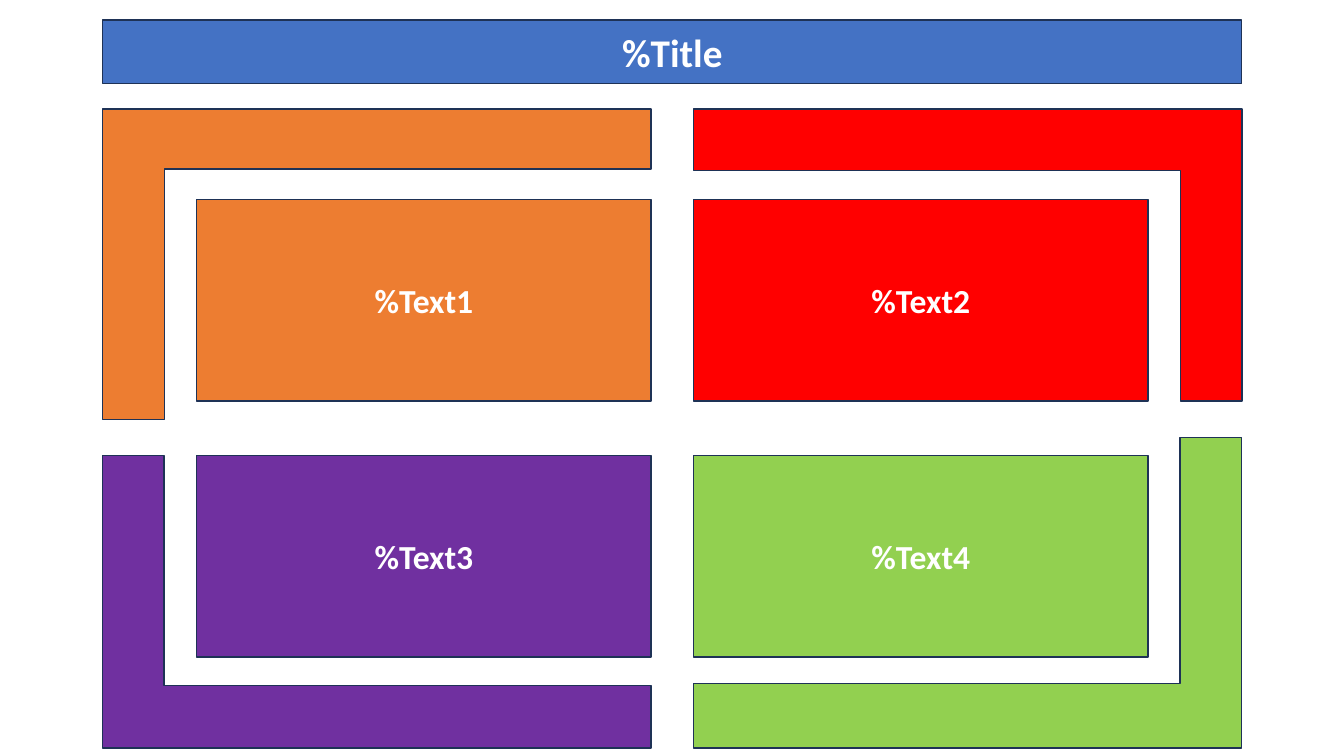
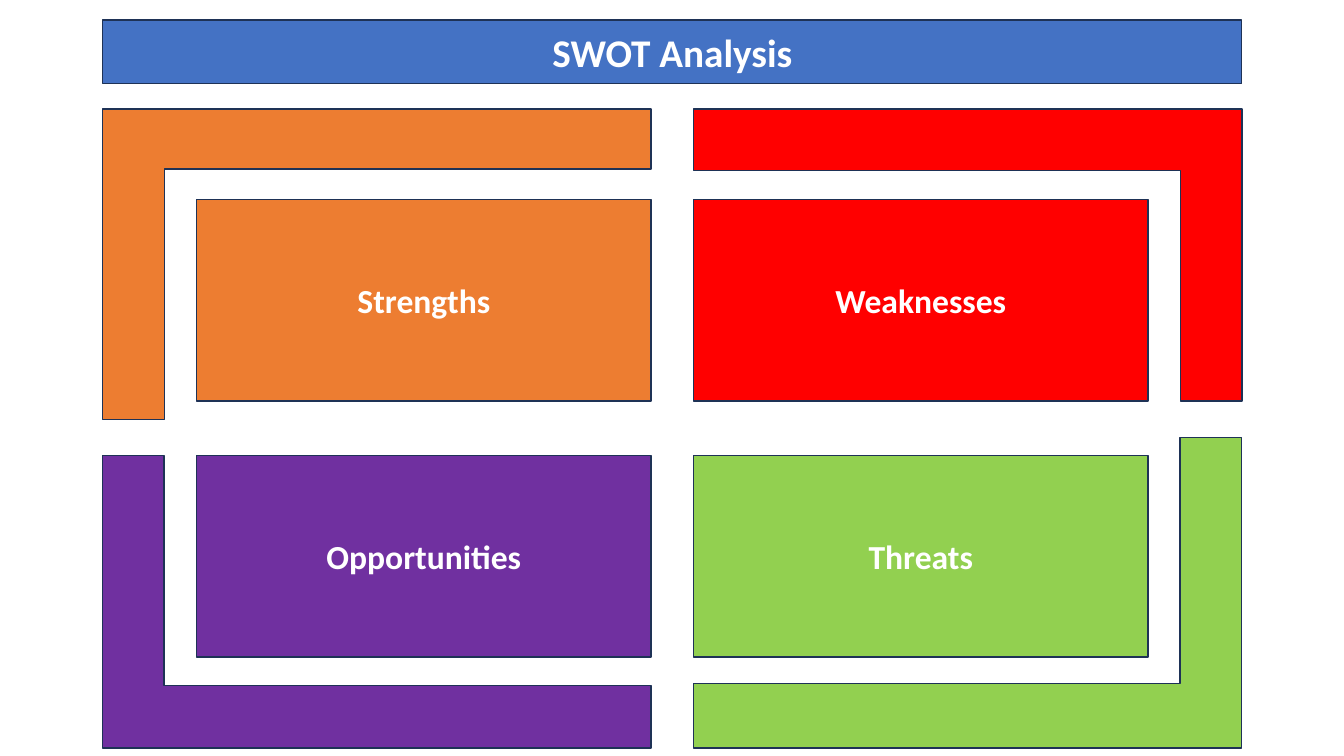
from dataclasses import dataclass
from pptx import Presentation
from pptx.dml.color import RGBColor as RGB
from pptx.enum.shapes import MSO_SHAPE as SHAPE
from pptx.enum.text import MSO_ANCHOR as ANCHOR, PP_ALIGN as ALIGN
from pptx.util import Pt

SLIDES = [
    ("%Title", ["%Text1", "%Text2", "%Text3", "%Text4"]),
    ("SWOT Analysis", ["Strengths", "Weaknesses", "Opportunities", "Threats"]),
]


@dataclass(frozen=True)
class Theme:
    font: str = "Calibri"
    title_size: int = 28
    panel_size: int = 24
    line_width: int = 1
    text: str = "FFFFFF"
    line: str = "1E3256"
    banner: str = "4472C4"
    quadrants: tuple = ("ED7D31", "FF0000", "7030A0", "92D050")


THEME = Theme()

SLIDE_W, SLIDE_H = 960, 540
LEFT, RIGHT = 73.44, 887.04
BANNER_TOP, BANNER_H = 14.4, 45.36
FRAMES_TOP, FRAMES_BOTTOM = 77.76, 534.24
FRAME_W, TALL_FRAME_H, SHORT_FRAME_H = 391.68, 221.76, 208.8
PANEL_W, PANEL_H = 324.72, 144
PANEL_TOPS = (142.56, 325.44)
FRAME_ARMS = [(0.194, 0.199), (0.21, 0.21), (0.214, 0.21), (0.207, 0.199)]


def add_block(s, kind, box, color):
    sp = s.shapes.add_shape(kind, *map(Pt, box))
    sp.shadow.inherit = False
    sp.fill.solid()
    sp.fill.fore_color.rgb = RGB.from_string(color)
    sp.line.color.rgb = RGB.from_string(THEME.line)
    sp.line.width = Pt(THEME.line_width)
    return sp


def add_label(s, box, color, text, size):
    tf = add_block(s, SHAPE.RECTANGLE, box, color).text_frame
    tf.word_wrap = True
    tf.vertical_anchor = ANCHOR.MIDDLE
    p = tf.paragraphs[0]
    p.text = text
    p.alignment = ALIGN.CENTER
    p.font.name = THEME.font
    p.font.size = Pt(size)
    p.font.bold = True
    p.font.color.rgb = RGB.from_string(THEME.text)


def add_frame(s, row, col, color, arms):
    mirrored = row == col
    height = TALL_FRAME_H if mirrored else SHORT_FRAME_H
    x = RIGHT - FRAME_W if col else LEFT
    y = FRAMES_BOTTOM - height if row else FRAMES_TOP
    sp = add_block(s, SHAPE.CORNER, (x, y, FRAME_W, height), color)
    sp.adjustments[0], sp.adjustments[1] = arms
    if row == 0:
        sp.rotation = 180
    if mirrored:
        sp.element.spPr.get_or_add_xfrm().set("flipH", "1")


def add_panel(s, row, col, color, text):
    x = RIGHT - FRAME_W if col else LEFT + FRAME_W - PANEL_W
    box = (x, PANEL_TOPS[row], PANEL_W, PANEL_H)
    add_label(s, box, color, text, THEME.panel_size)


def add_matrix(prs, title, labels):
    s = prs.slides.add_slide(prs.slide_layouts[6])
    for i, (text, color, arms) in enumerate(zip(labels, THEME.quadrants, FRAME_ARMS)):
        row, col = divmod(i, 2)
        add_frame(s, row, col, color, arms)
        add_panel(s, row, col, color, text)
    banner = (LEFT, BANNER_TOP, RIGHT - LEFT, BANNER_H)
    add_label(s, banner, THEME.banner, title, THEME.title_size)


prs = Presentation()
prs.slide_width, prs.slide_height = Pt(SLIDE_W), Pt(SLIDE_H)
for title, labels in SLIDES:
    add_matrix(prs, title, labels)
prs.save("out.pptx")
